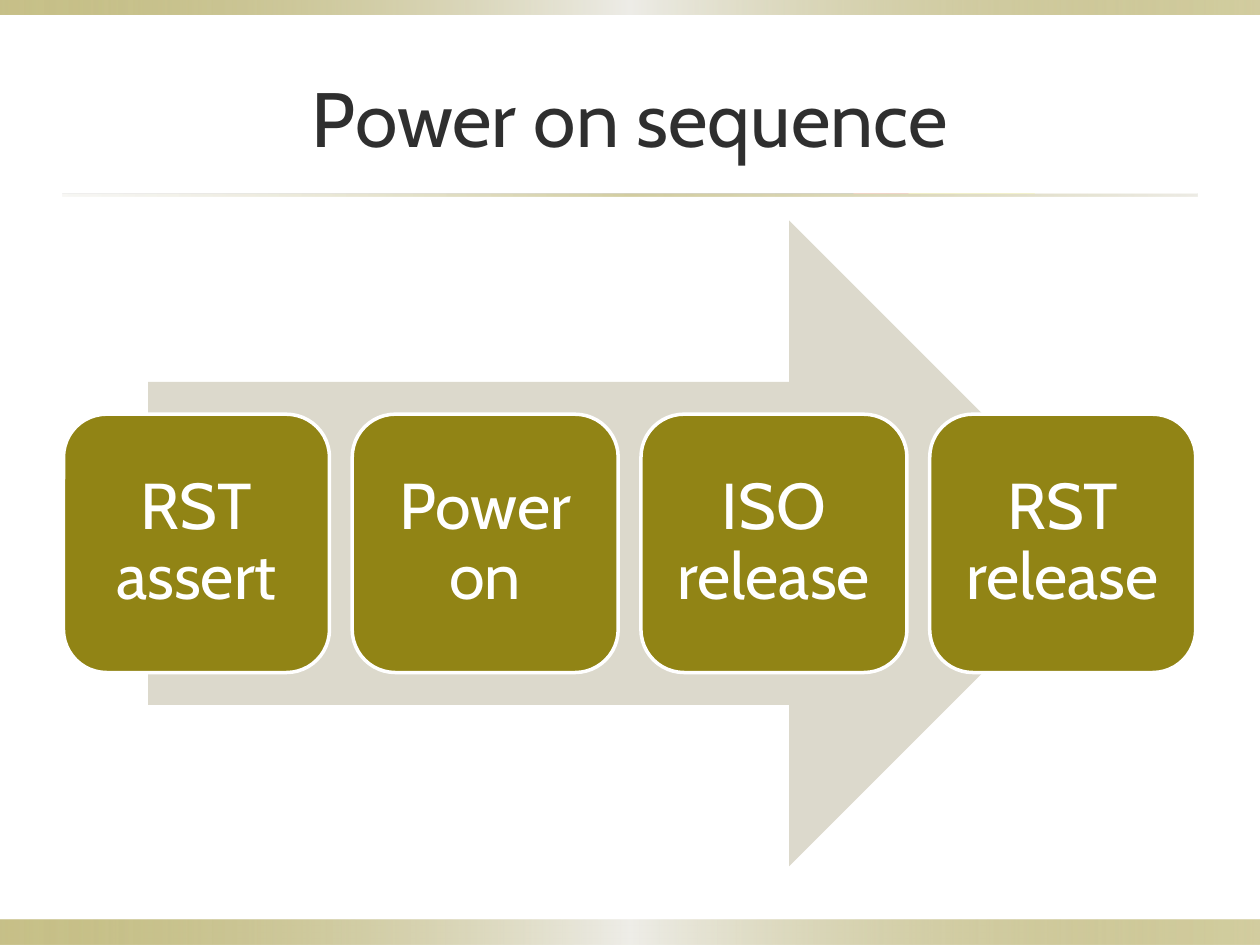
from lxml import etree
from pptx import Presentation
from pptx.dml.color import RGBColor
from pptx.enum import shapes, text
from pptx.oxml import ns
from pptx.util import Pt


def paint(fill, color):
    fill.solid()
    fill.fore_color.rgb = RGBColor.from_string(color)


def add(kind, left, top, width, height):
    shape = slide.shapes.add_shape(kind, Pt(left), Pt(top), Pt(width), Pt(height))
    shape.shadow.inherit = False
    shape.line.fill.background()
    return shape


FONT = "Cabin"
OLIVE, SAND, MIST, WHITE, INK = "918415", "DCD9CC", "EEEDE8", "FFFFFF", "2F2F2F"
KIND = shapes.MSO_SHAPE

deck = Presentation()
deck.slide_width, deck.slide_height = Pt(720), Pt(540)
slide = deck.slides.add_slide(deck.slide_layouts[5])
paint(slide.background.fill, WHITE)

# Edge bands and title rule: three gradient stops of colour and opacity
band = [(OLIVE, 50), (MIST, 100), (OLIVE, 40)]
rule = [(SAND, 20), (OLIVE, 40), (SAND, 50)]
for left, top, width, height, stops in [
    (0, 525.6, 720, 14.4, band),
    (0, 0, 720, 8.6, band),
    (36, 110.9, 648, 1.4, rule),
]:
    bar = add(KIND.RECTANGLE, left, top, width, height)
    bar.fill.gradient()
    bar.fill.gradient_angle = 0
    grad = bar._element.spPr.find(ns.qn("a:gradFill"))
    items = grad.find(ns.qn("a:gsLst"))
    for old in list(items):
        items.remove(old)
    for i, (color, alpha) in enumerate(stops):
        stop = etree.SubElement(items, ns.qn("a:gs"), pos=str(i * 50000))
        tint = etree.SubElement(stop, ns.qn("a:srgbClr"), val=color)
        etree.SubElement(tint, ns.qn("a:alpha"), val=str(alpha * 1000))

# Title
title = slide.shapes.title
title.left, title.top, title.width, title.height = Pt(36), Pt(21.6), Pt(648), Pt(90)
title.text_frame.text = "Power on sequence"
title.text_frame.vertical_anchor = text.MSO_ANCHOR.MIDDLE
head = title.text_frame.paragraphs[0]
head.alignment = text.PP_ALIGN.CENTER
head.font.name, head.font.size = FONT, Pt(44)
head.font.color.rgb = RGBColor.from_string(INK)

# Arrow behind the steps
arrow = add(KIND.RIGHT_ARROW, 84.6, 126, 550.8, 369)
paint(arrow.fill, SAND)

# Steps
for i, label in enumerate(["RST assert", "Power on", "ISO release", "RST release"]):
    step = add(KIND.ROUNDED_RECTANGLE, 36.3 + 165 * i, 236.7, 152, 147.6)
    paint(step.fill, OLIVE)
    paint(step.line.fill, WHITE)
    step.line.width = Pt(2)
    frame = step.text_frame
    frame.word_wrap = True
    frame.vertical_anchor = text.MSO_ANCHOR.MIDDLE
    frame.margin_left = frame.margin_right = Pt(10.8)
    frame.margin_top = frame.margin_bottom = Pt(10.8)
    frame.text = label
    para = frame.paragraphs[0]
    para.alignment = text.PP_ALIGN.CENTER
    para.line_spacing = 0.9
    para.font.name, para.font.size = FONT, Pt(37)
    para.font.color.rgb = RGBColor.from_string(WHITE)

deck.save("out.pptx")
